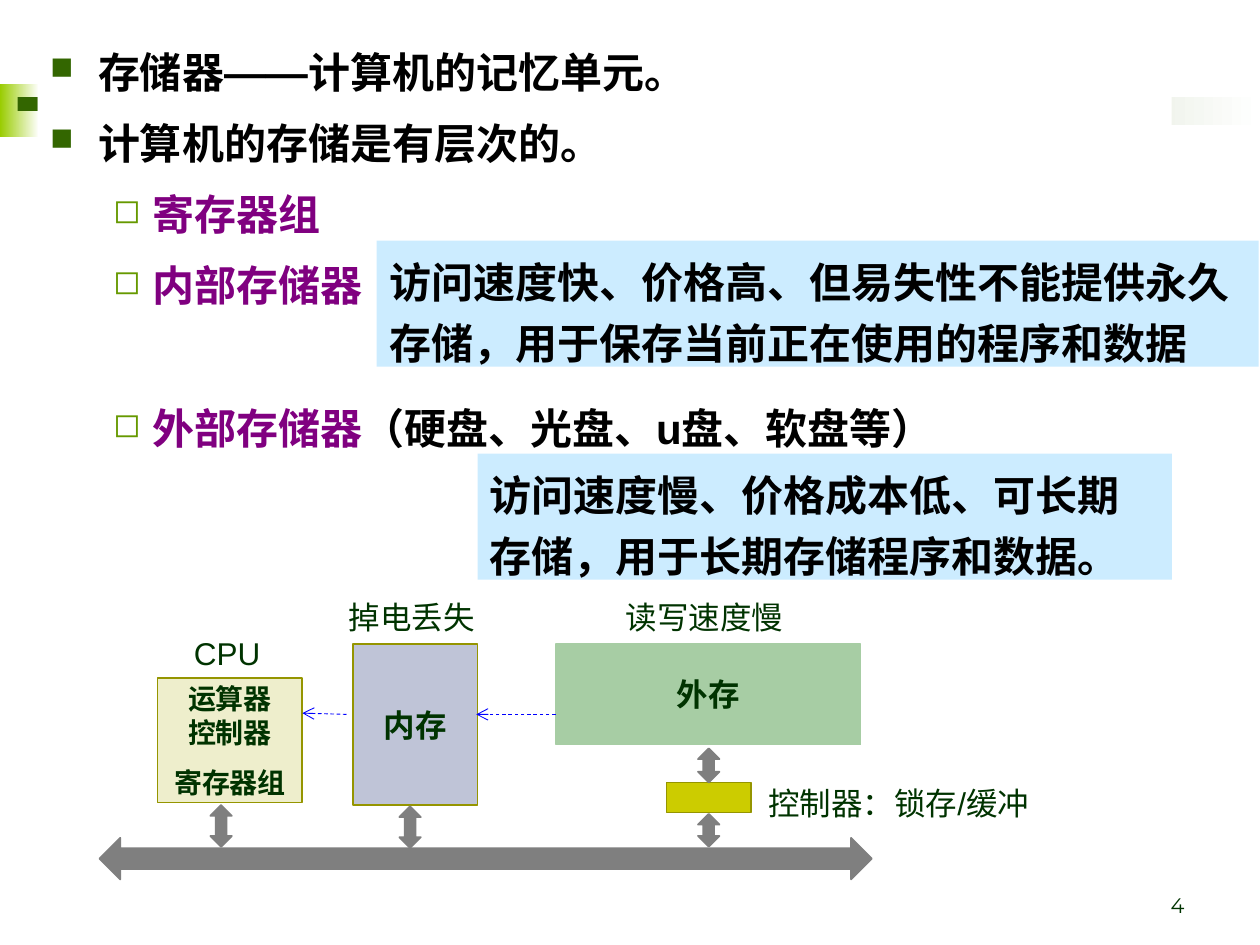
from typing import NamedTuple, Optional

from lxml.etree import SubElement
from pptx import Presentation
from pptx.dml.color import RGBColor
from pptx.enum.dml import MSO_LINE
from pptx.enum.shapes import MSO_CONNECTOR, MSO_SHAPE
from pptx.enum.text import MSO_ANCHOR, PP_ALIGN
from pptx.oxml.ns import qn
from pptx.util import Emu, Inches, Pt

WHITE = RGBColor(0xFF, 0xFF, 0xFF)
BLACK = RGBColor(0x00, 0x00, 0x00)
INK = RGBColor(0x00, 0x33, 0x00)
PINE = RGBColor(0x33, 0x66, 0x00)
MOSS = RGBColor(0x66, 0x99, 0x00)
LIME = RGBColor(0x99, 0xCC, 0x00)
PLUM = RGBColor(0x80, 0x00, 0x80)
SKY = RGBColor(0xCC, 0xEC, 0xFF)
CREAM = RGBColor(0xEE, 0xEE, 0xCC)
STEEL = RGBColor(0xBF, 0xC4, 0xD7)
SAGE = RGBColor(0xA7, 0xCD, 0xA4)
GOLD = RGBColor(0xCC, 0xCC, 0x00)
OLIVE = RGBColor(0x95, 0x95, 0x00)
GRAY = RGBColor(0x7F, 0x7F, 0x7F)
BLUE = RGBColor(0x00, 0x00, 0xFF)

LATIN, NUMBER, HAN = "Arial", "Montserrat", "Noto Sans CJK SC"
COLS, ROWS = 100, 75

deck = Presentation()
deck.slide_width, deck.slide_height = Inches(10), Inches(7.5)
slide = deck.slides.add_slide(deck.slide_layouts[6])
shapes = slide.shapes


class Area(NamedTuple):
    """Left, top, width and height in grid columns and rows."""
    x: float
    y: float
    w: float
    h: float


class Block(NamedTuple):
    area: Area
    fill: RGBColor
    edge: Optional[RGBColor] = None
    lines: tuple = ()
    size: int = 18
    kind: MSO_SHAPE = MSO_SHAPE.RECTANGLE


class Label(NamedTuple):
    area: Area
    text: str


class Item(NamedTuple):
    level: int
    runs: tuple
    gap: float = 6


class Bullet(NamedTuple):
    char: str
    color: RGBColor
    size: int
    left: float
    hang: float


def col(n: float) -> Emu:
    return Emu(round(deck.slide_width * n / COLS))


def row(n: float) -> Emu:
    return Emu(round(deck.slide_height * n / ROWS))


def place(area: Area) -> tuple:
    return col(area.x), row(area.y), col(area.w), row(area.h)


def write(para, text: str, size: int, color: RGBColor,
          bold: bool = False, name: str = LATIN) -> None:
    run = para.add_run()
    run.text = text
    for key, value in dict(size=Pt(size), bold=bold, name=name).items():
        setattr(run.font, key, value)
    run.font.color.rgb = color
    SubElement(run.font._element, qn("a:ea"), typeface=NUMBER)


def draw(block: Block):
    shape = shapes.add_shape(block.kind, *place(block.area))
    shape.shadow.inherit = False
    shape.fill.solid()
    shape.fill.fore_color.rgb = block.fill
    if block.edge is None:
        shape.line.fill.background()
    else:
        shape.line.color.rgb = block.edge
        shape.line.width = Pt(1)
    frame = shape.text_frame
    for i, line in enumerate(block.lines):
        para = frame.add_paragraph() if i else frame.paragraphs[0]
        para.alignment = PP_ALIGN.CENTER
        write(para, line, block.size, INK, True)
    return shape


def fade(area: Area, color: RGBColor) -> None:
    """Draw a bar that runs from the colour to white, left to right."""
    fill = draw(Block(area, color)).fill
    fill.gradient()
    fill.gradient_angle = 0
    for stop, tone, spot in zip(fill.gradient_stops, (color, WHITE), (0, 1)):
        stop.color.rgb = tone
        stop.position = spot


def mark(para, bullet: Bullet) -> None:
    props = para._p.get_or_add_pPr()
    props.set("marL", str(Inches(bullet.left)))
    props.set("indent", str(-Inches(bullet.hang)))
    tint = SubElement(props, qn("a:buClr"))
    SubElement(tint, qn("a:srgbClr"), val=str(bullet.color))
    SubElement(props, qn("a:buSzPct"), val=str(bullet.size * 1000))
    SubElement(props, qn("a:buChar"), char=bullet.char)


def outline(area: Area, items: list) -> None:
    frame = draw(Block(area, WHITE)).text_frame
    frame.vertical_anchor = MSO_ANCHOR.TOP
    for i, item in enumerate(items):
        para = frame.add_paragraph() if i else frame.paragraphs[0]
        form = dict(level=item.level, line_spacing=1.2, alignment=PP_ALIGN.LEFT,
                    space_before=Pt(item.gap if i else 0))
        for key, value in form.items():
            setattr(para, key, value)
        mark(para, BULLETS[item.level])
        for text, color in item.runs:
            write(para, text, 24, color, True)


def note(area: Area, text: str) -> None:
    frame = draw(Block(area, SKY)).text_frame
    frame.vertical_anchor = MSO_ANCHOR.TOP
    para = frame.paragraphs[0]
    para.alignment = PP_ALIGN.LEFT
    para.line_spacing = 1.2
    write(para, text, 24, BLACK, True, HAN)


def label(item: Label, size: int = 18, name: str = LATIN):
    frame = shapes.add_textbox(*place(item.area)).text_frame
    frame.word_wrap = True
    write(frame.paragraphs[0], item.text, size, INK, name=name)
    return frame


def arrow(x1: float, y1: float, x2: float, y2: float) -> None:
    wire = shapes.add_connector(MSO_CONNECTOR.STRAIGHT,
                                col(x1), row(y1), col(x2), row(y2))
    wire.line.color.rgb = BLUE
    wire.line.width = Pt(0.5)
    wire.line.dash_style = MSO_LINE.DASH
    SubElement(wire.line._get_or_add_ln(), qn("a:tailEnd"), type="arrow")
    SubElement(wire._element.spPr, qn("a:effectLst"))


BULLETS = [Bullet("■", PINE, 75, 0.38, 0.38), Bullet("◻", MOSS, 80, 0.81, 0.31)]
ITEMS = [
    Item(0, (("存储器——计算机的记忆单元。", BLACK),)),
    Item(0, (("计算机的存储是有层次的。", BLACK),)),
    Item(1, (("寄存器组", PLUM),)),
    Item(1, (("内部存储器", PLUM),)),
    Item(1, (("外部存储器", PLUM), ("（硬盘、光盘、u盘、软盘等）", BLACK)), 47),
]
UNITS = [
    Block(Area(28, 51.1, 9.9, 12.8), STEEL, OLIVE, ("内存",)),
    Block(Area(44.1, 51.1, 24.2, 8), SAGE, SAGE, ("外存",),
          kind=MSO_SHAPE.FLOWCHART_PROCESS),
    Block(Area(52.9, 62.1, 6.7, 2.4), GOLD, OLIVE),
    Block(Area(7.9, 66.5, 61.3, 3.3), GRAY, GRAY, kind=MSO_SHAPE.LEFT_RIGHT_ARROW),
]
LINKS = [(16.7, 63.9, 3.3), (31.7, 64, 3.3), (55.4, 64.6, 2.6), (55.4, 59.4, 2.7)]
LABELS = [
    Label(Area(14.4, 49.8, 8.3, 4), "CPU"),
    Label(Area(26.7, 47, 12.5, 4), "掉电丢失"),
    Label(Area(48.7, 47, 18.3, 4), "读写速度慢"),
    Label(Area(60, 61.7, 25.2, 4), "控制器：锁存/缓冲"),
]

fade(Area(0, 6.7, 3.1, 4.2), LIME)
fade(Area(4.5, 7.7, 95.5, 2.2), PINE)
draw(Block(Area(1.4, 7.7, 1.6, 1.1), PINE))
outline(Area(3, 2.4, 90, 66.6), ITEMS)
page = label(Label(Area(71.7, 68.3, 23.3, 5), "4"), 12, NUMBER)
page.vertical_anchor = MSO_ANCHOR.BOTTOM
page.paragraphs[0].alignment = PP_ALIGN.RIGHT

note(Area(29.9, 19.1, 70, 10), "访问速度快、价格高、但易失性不能提供永久存储，用于保存当前正在使用的程序和数据")
note(Area(37.9, 36, 55.1, 10), "访问速度慢、价格成本低、可长期存储，用于长期存储程序和数据。")

core = draw(Block(Area(12.5, 53.8, 11.5, 9.9), CREAM, OLIVE,
                  ("运算器", "控制器", "寄存器组"), 16))
core.text_frame.paragraphs[-1].line_spacing = 1.5
for unit in UNITS:
    draw(unit)
for x, y, h in LINKS:
    draw(Block(Area(x, y, 1.7, h), GRAY, GRAY, kind=MSO_SHAPE.UP_DOWN_ARROW))
for item in LABELS:
    label(item)
arrow(44.1, 56.7, 37.8, 56.7)
arrow(27.5, 56.7, 24, 56.6)

deck.save("out.pptx")
